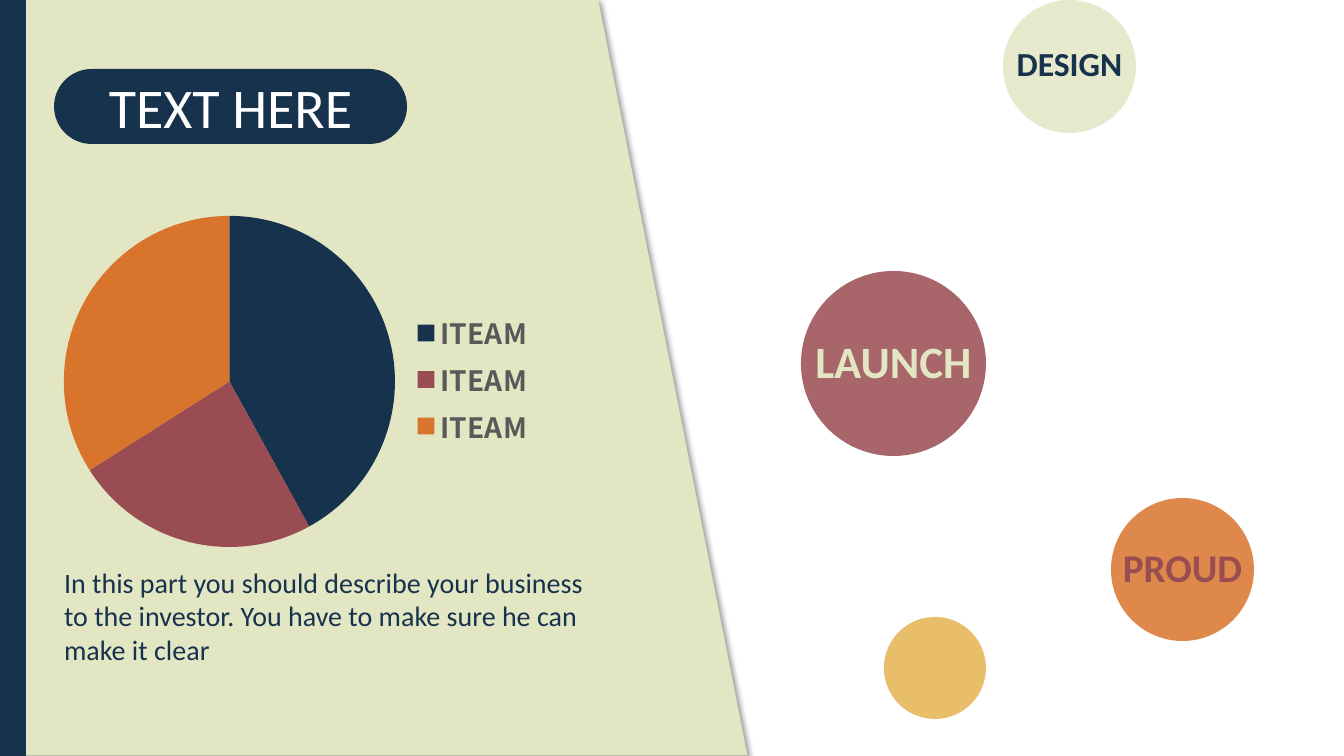
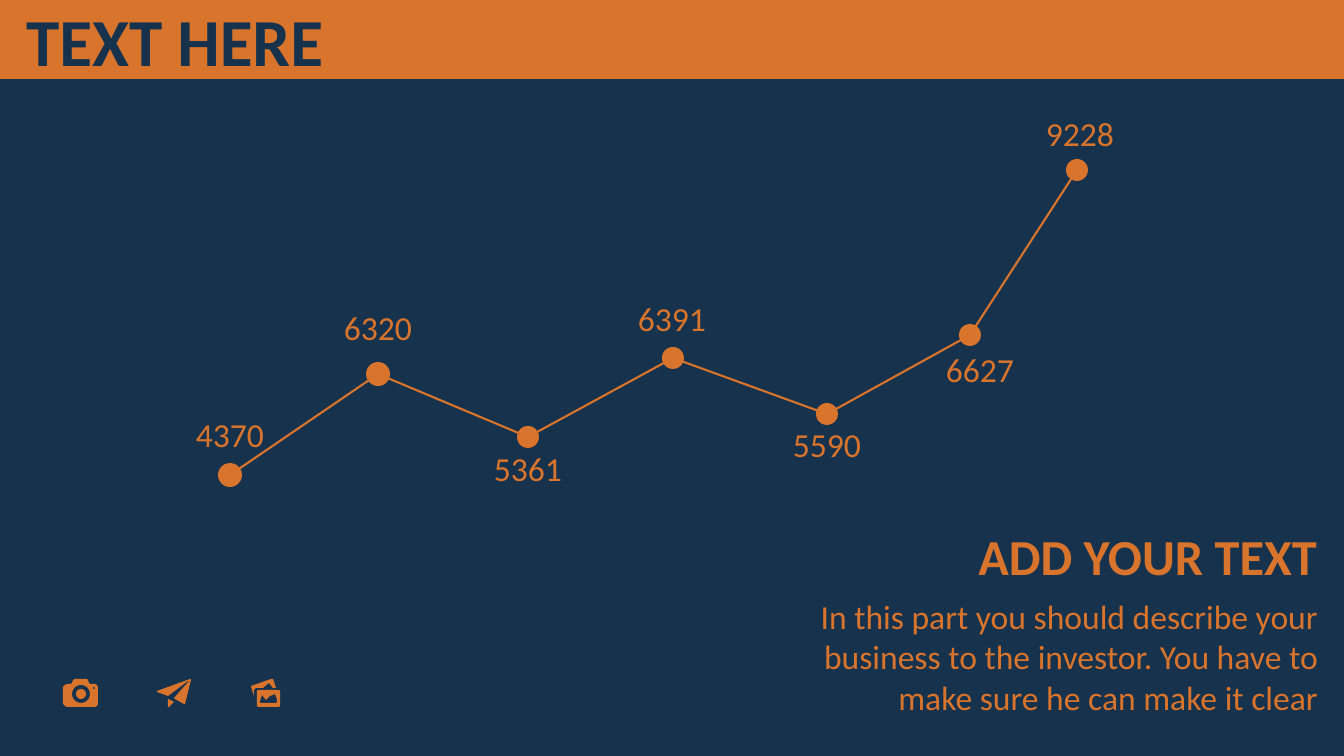
from itertools import pairwise
from math import cos, pi, sin

from pptx import Presentation
from pptx.chart.data import CategoryChartData
from pptx.dml.color import RGBColor
from pptx.enum.chart import XL_CHART_TYPE as ChartType, XL_LEGEND_POSITION as LegendPosition
from pptx.enum.shapes import MSO_CONNECTOR as Connector, MSO_SHAPE as Shape
from pptx.enum.text import MSO_ANCHOR as Anchor, MSO_AUTO_SIZE as AutoSize, PP_ALIGN as Align
from pptx.oxml import parse_xml
from pptx.oxml.ns import nsdecls, qn
from pptx.oxml.xmlchemy import OxmlElement
from pptx.util import Pt

WIDTH, HEIGHT = 1344, 756
PX = 12192000 / WIDTH
NAVY, CREAM, MAROON, ORANGE, GOLD = "17324D", "E2E6C3", "994C52", "D9742C", "E5B350"
WHITE, GREY = "FFFFFF", "595959"
FONT, CHART_FONT = "Calibri", "Noto Sans CJK SC"

TITLE = "TEXT HERE"
DESCRIPTION = ("In this part you should describe your business to the investor. "
               "You have to make sure he can make it clear")
SUBTITLE = "ADD YOUR TEXT"

# left, top, diameter, fill, word, text size, text colour
BUBBLES = [
    (1003, 0, 133, CREAM, "DESIGN", 24, NAVY),
    (801, 271, 185, MAROON, "LAUNCH", 32, CREAM),
    (1111, 498, 143, ORANGE, "PROUD", 28, MAROON),
    (884, 617, 102, GOLD, "", 24, NAVY),
]
PIE = [("ITEAM", 42, NAVY), ("ITEAM", 24, MAROON), ("ITEAM", 34, ORANGE)]
PIE_LAYOUT = {"x": 0.03, "y": 0.09, "w": 0.67, "h": 0.83}

# value, centre of the dot, its diameter, centre and top of the label
POINTS = [
    ("4370", (230, 475), 24, (230, 409)),
    ("6320", (378, 374), 24, (378, 302)),
    ("5361", (528, 437), 22, (528, 443)),
    ("6391", (673, 358), 22, (672, 293)),
    ("5590", (827, 414), 22, (827, 419)),
    ("6627", (970, 335), 22, (980, 344)),
    ("9228", (1077, 170), 22, (1080, 108)),
]


def ring(x, y, radius, steps=24):
    """Points of a circle, for use as a contour."""
    angles = [2 * pi * step / steps for step in range(steps)]
    return [(x + radius * cos(angle), y + radius * sin(angle)) for angle in angles]


CAMERA = [
    [(12, 0), (24, 0), (25, 1), (26, 4), (27, 5), (32, 5), (34, 6), (35, 8), (35, 25),
     (34, 27), (32, 28), (4, 28), (2, 27), (0, 25), (0, 8), (2, 6), (4, 5), (8, 5),
     (9, 4), (10, 1)],
    ring(18, 15, 9), ring(18, 15, 5), ring(31, 9, 1),
]
PAPER_PLANE = [
    [(11, 20), (17, 23), (12, 28), (11, 28)],
    [(33, 0), (34, 1), (28, 25), (27, 25), (18, 20), (17, 19), (32, 2), (31, 2),
     (11, 17), (0, 13), (0, 12)],
]
PHOTOS = [
    [(24, 15), (19, 17), (15, 21), (11, 16), (9, 22), (9, 24), (26, 24), (26, 20)],
    [(7, 11), (28, 11), (29, 12), (29, 27), (28, 28), (7, 28), (6, 27), (6, 12)],
    [(20, 0), (22, 0), (25, 9), (22, 9), (18, 4), (12, 9), (5, 9), (3, 11), (3, 17),
     (0, 8), (0, 7)],
]
ICONS = [CAMERA, PAPER_PLANE, PHOTOS]
ICON_LEFT, ICON_TOP, ICON_STEP = 63, 679, 94


def px(*lengths):
    return [round(length * PX) for length in lengths]


def rgb(color):
    return RGBColor.from_string(color)


def paint(shape, color):
    shape.shadow.inherit = False
    shape.fill.solid()
    shape.fill.fore_color.rgb = rgb(color)
    shape.line.fill.background()
    return shape


def add_filled(page, kind, area, color):
    return paint(page.shapes.add_shape(kind, *px(*area)), color)


def write(box, text, size, color, bold=False, align=Align.LEFT, anchor=Anchor.TOP):
    frame = box.text_frame
    frame.word_wrap = True
    frame.auto_size = AutoSize.NONE
    frame.vertical_anchor = anchor
    frame.text = text
    para = frame.paragraphs[0]
    para.alignment = align
    para.space_before = Pt(0)
    for span in para.runs:
        span.font.name, span.font.size, span.font.bold = FONT, Pt(size), bold
        span.font.color.rgb = rgb(color)


def add_text(page, area, *args, **style):
    write(page.shapes.add_textbox(*px(*area)), *args, **style)


def place(box, area, *args, **style):
    """Move a placeholder above the shapes drawn so far and write in it."""
    box.element.getparent().append(box.element)
    box.left, box.top, box.width, box.height = px(*area)
    write(box, *args, **style)


def place_body(page, area, *args, **style):
    body = page.placeholders[1]
    place(body, area, *args, **style)
    properties = body.text_frame.paragraphs[0]._p.get_or_add_pPr()
    properties.set("marL", "0")
    properties.set("indent", "0")
    properties.append(OxmlElement("a:buNone"))


def add_page(deck, color):
    page = deck.slides.add_slide(deck.slide_layouts[1])
    page.background.fill.solid()
    page.background.fill.fore_color.rgb = rgb(color)
    return page


def add_slanted_panel(page):
    panel = add_filled(page, Shape.FLOWCHART_MANUAL_INPUT, (-4, 4, HEIGHT, 747), CREAM)
    panel.rotation = 90
    effects = panel.element.spPr.find(qn("a:effectLst"))
    effects.append(parse_xml(
        f'<a:outerShdw {nsdecls("a")} blurRad="50800" dist="38100" dir="2700000" '
        'algn="tl" rotWithShape="0"><a:srgbClr val="000000"><a:alpha val="40000"/>'
        '</a:srgbClr></a:outerShdw>'))


def add_bubble(page, left, top, size, fill, word, text_size, color):
    bubble = add_filled(page, Shape.OVAL, (left, top, size, size), fill)
    alpha = OxmlElement("a:alpha")
    alpha.set("val", "85000")
    bubble.element.spPr.find(qn("a:solidFill"))[0].append(alpha)
    if word:
        write(bubble, word, text_size, color, True, Align.CENTER, Anchor.MIDDLE)
        frame = bubble.text_frame
        frame.word_wrap = False
        frame.margin_left = frame.margin_right = frame.margin_top = 0
        frame.margin_bottom = px(6)[0]


def add_pie(page, area):
    data = CategoryChartData()
    data.categories = [name for name, _, _ in PIE]
    data.add_series("Series 1", [value for _, value, _ in PIE])
    chart = page.shapes.add_chart(ChartType.PIE, *px(*area), data).chart
    chart.has_title = False
    chart.font.name, chart.font.size = CHART_FONT, Pt(10)
    chart.has_legend = True
    legend = chart.legend
    legend.position = LegendPosition.RIGHT
    legend.include_in_layout = False
    legend.font.name, legend.font.size, legend.font.bold = CHART_FONT, Pt(20), True
    legend.font.color.rgb = rgb(GREY)
    plot = chart.plots[0]
    plot.vary_by_categories = True
    for index, (_, _, color) in enumerate(PIE):
        part = plot.series[0].points[index].format
        part.fill.solid()
        part.fill.fore_color.rgb = rgb(color)
        part.line.fill.background()

    plot_area = chart._chartSpace.chart.plotArea
    for old in plot_area.findall(qn("c:layout")):
        plot_area.remove(old)
    sizes = "".join(f'<c:{key} val="{value}"/>' for key, value in PIE_LAYOUT.items())
    plot_area.insert(0, parse_xml(
        f'<c:layout {nsdecls("c")}><c:manualLayout><c:layoutTarget val="inner"/>'
        f'<c:xMode val="edge"/><c:yMode val="edge"/>{sizes}</c:manualLayout></c:layout>'))


def add_segment(page, start, end):
    segment = page.shapes.add_connector(Connector.STRAIGHT, *px(*start, *end))
    segment.line.color.rgb = rgb(ORANGE)
    segment.line.width = Pt(1.5)
    segment.element.spPr.append(OxmlElement("a:effectLst"))


def add_icon(page, left, top, contours):
    fine = 10  # freeform points are whole numbers, so use tenths of a px
    moved = [[((left + x) * fine, (top + y) * fine) for x, y in contour]
             for contour in contours]
    builder = page.shapes.build_freeform(*moved[0][0], scale=PX / fine)
    for index, contour in enumerate(moved):
        if index:
            builder.move_to(*contour[0])
        builder.add_line_segments(contour[1:], close=True)
    paint(builder.convert_to_shape(), ORANGE)


def build_pie_page(deck):
    page = add_page(deck, WHITE)
    add_slanted_panel(page)
    for bubble in BUBBLES:
        add_bubble(page, *bubble)
    pill_area = (54, 69, 353, 75)
    pill = add_filled(page, Shape.ROUNDED_RECTANGLE, pill_area, NAVY)
    pill.adjustments[0] = 0.5
    place(page.shapes.title, pill_area, TITLE, 40, WHITE,
          align=Align.CENTER, anchor=Anchor.MIDDLE)
    place_body(page, (54, 560, 552, 112), DESCRIPTION, 20, NAVY)
    add_pie(page, (48, 180, 497, 399))
    add_filled(page, Shape.RECTANGLE, (0, 0, 26, HEIGHT), NAVY)


def build_line_page(deck):
    page = add_page(deck, NAVY)
    add_filled(page, Shape.RECTANGLE, (0, 0, WIDTH, 79), ORANGE)
    place(page.shapes.title, (16, -6, 438, 92), TITLE, 48, NAVY, bold=True)
    for (_, start, _, _), (_, end, _, _) in pairwise(POINTS):
        add_segment(page, start, end)
    for value, (x, y), size, (label_x, label_top) in POINTS:
        dot_area = (x - size / 2, y - size / 2, size, size)
        add_filled(page, Shape.OVAL, dot_area, ORANGE)
        add_text(page, (label_x - 50, label_top, 100, 50), value, 24, ORANGE,
                 align=Align.CENTER)
    place_body(page, (750, 591, 578, 132), DESCRIPTION, 24, ORANGE, align=Align.RIGHT)
    add_text(page, (904, 520, 423, 72), SUBTITLE, 36, ORANGE, bold=True, align=Align.RIGHT)
    for index, contours in enumerate(ICONS):
        add_icon(page, ICON_LEFT + index * ICON_STEP, ICON_TOP, contours)


def main():
    deck = Presentation()
    deck.slide_width, deck.slide_height = px(WIDTH, HEIGHT)
    build_pie_page(deck)
    build_line_page(deck)
    deck.save("out.pptx")


if __name__ == "__main__":
    main()
